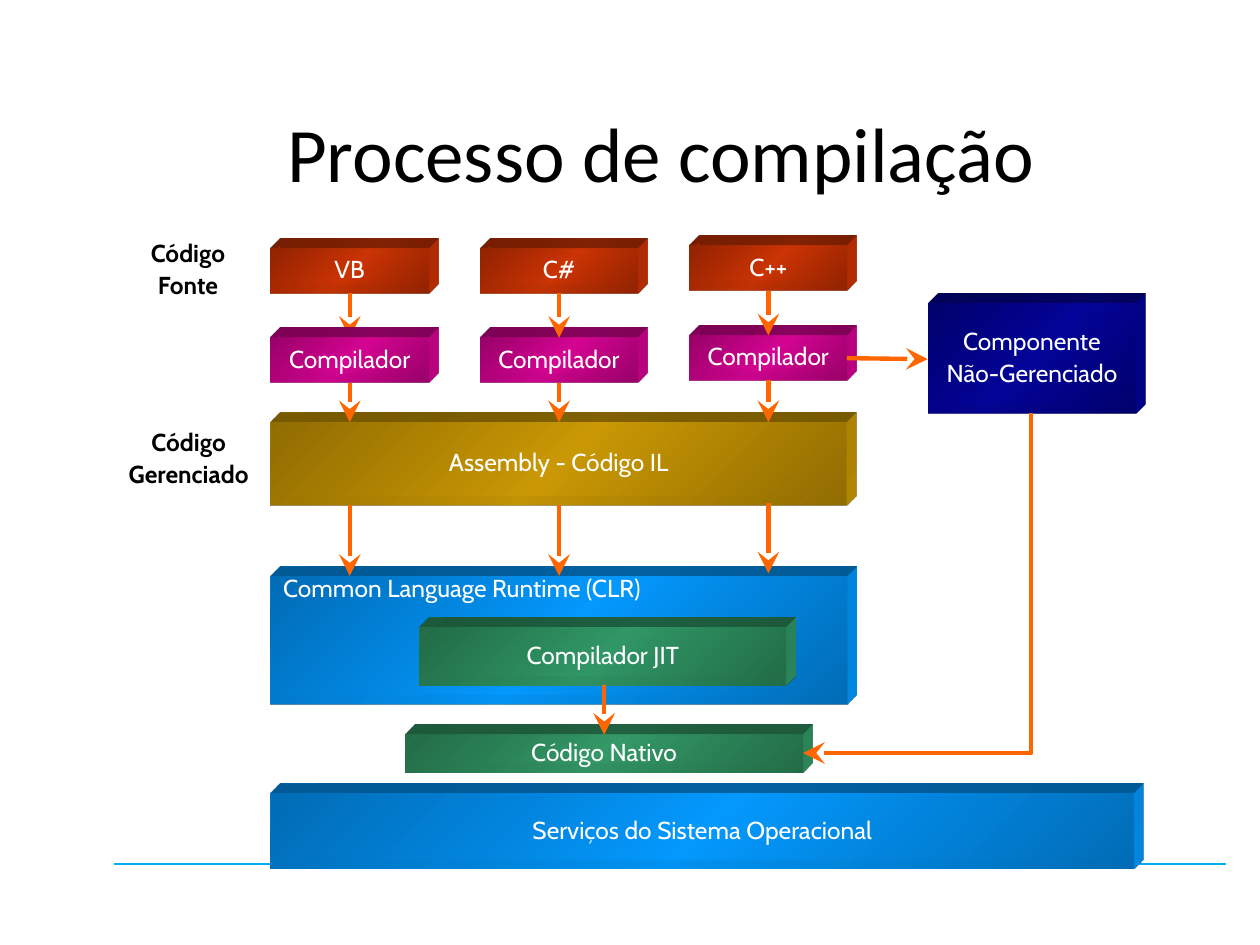
"""Build the "Processo de compilação" slide."""
from copy import deepcopy

from lxml.etree import SubElement
from pptx import Presentation
from pptx.dml.color import RGBColor
from pptx.enum.shapes import MSO_CONNECTOR, MSO_SHAPE
from pptx.enum.text import MSO_ANCHOR, PP_ALIGN
from pptx.oxml.ns import qn
from pptx.util import Cm, Pt

WHITE = RGBColor(0xFF, 0xFF, 0xFF)
BLACK = RGBColor(0x00, 0x00, 0x00)
ORANGE = RGBColor(0xFF, 0x66, 0x00)
CYAN = RGBColor(0x00, 0xAE, 0xEF)
RED = (RGBColor(0x92, 0x24, 0x00), RGBColor(0xCC, 0x33, 0x00))
MAGENTA = (RGBColor(0x99, 0x00, 0x69), RGBColor(0xD6, 0x00, 0x93))
GOLD = (RGBColor(0x92, 0x6D, 0x00), RGBColor(0xCC, 0x99, 0x00))
BLUE = (RGBColor(0x00, 0x6D, 0xB6), RGBColor(0x00, 0x99, 0xFF))
NAVY = (RGBColor(0x00, 0x00, 0x6D), RGBColor(0x00, 0x00, 0x99))
GREEN = (RGBColor(0x24, 0x6D, 0x49), RGBColor(0x33, 0x99, 0x66))

TITLE = "Processo de compilação"
LANGUAGES = [("VB", 0), ("C#", 0), ("C++", 0.05)]
COMPILER = "Compilador"
STAGES = [
    ("Código Nativo", GREEN, (8.18, 14.81, 8.0, 0.76)),
    ("Common Language Runtime (CLR)", BLUE, (5.46, 11.61, 11.61, 2.59)),
    ("Componente\nNão-Gerenciado", NAVY, (18.72, 6.12, 4.17, 2.21)),
    ("Assembly - Código IL", GOLD, (5.46, 8.51, 11.61, 1.68)),
    ("Compilador JIT", GREEN, (8.46, 12.65, 7.39, 1.17)),
    ("Serviços do Sistema Operacional", BLUE, (5.46, 16.0, 17.4, 1.52)),
]
LABELS = [
    ("Código\nFonte", (2.67, 4.75, 2.24, 1.45)),
    ("Código\nGerenciado", (2.18, 8.56, 3.25, 1.45)),
]

COLUMN_LEFT, COLUMN_PITCH = 5.46, 4.22
BOX_WIDTH, BOX_HEIGHT = 3.18, 0.91
SOURCE_TOP, COMPILER_TOP = 5.0, 6.81
ASSEMBLY_TOP, ASSEMBLY_BOTTOM, RUNTIME_TOP = 8.51, 10.19, 11.61


def write(shape, text, color, bold=False, align=PP_ALIGN.CENTER):
    frame = shape.text_frame
    frame.word_wrap = True
    frame.text = text
    for index, paragraph in enumerate(frame.paragraphs):
        paragraph.alignment = align
        paragraph.line_spacing = 0.9
        paragraph.space_before = Pt(2.8 if index else 0)
        paragraph.font.name = "Cabin"
        paragraph.font.size = Pt(14)
        paragraph.font.bold = bold
        paragraph.font.color.rgb = color


def shade(shape, edge, middle):
    fill = shape.fill
    fill.gradient()
    fill.gradient_angle = 315
    stops = shape._element.spPr.find(qn("a:gradFill")).find(qn("a:gsLst"))
    stops.insert(1, deepcopy(stops[0]))
    for stop, color, position in zip(fill.gradient_stops, (edge, middle, edge), (0, 0.5, 1)):
        stop.color.rgb = color
        stop.position = position
    SubElement(stops[1][0], qn("a:alpha"), val="90000")


def extrude(shape, color):
    properties = shape._element.spPr
    scene = SubElement(properties, qn("a:scene3d"))
    SubElement(scene, qn("a:camera"), prst="legacyObliqueTopRight")
    SubElement(scene, qn("a:lightRig"), rig="legacyFlat3", dir="b")
    solid = SubElement(properties, qn("a:sp3d"), extrusionH="201600", prstMaterial="legacyMatte")
    extrusion = SubElement(solid, qn("a:extrusionClr"))
    SubElement(extrusion, qn("a:srgbClr"), val=str(color))


def add_block(slide, text, palette, place):
    block = slide.shapes.add_shape(MSO_SHAPE.RECTANGLE, *map(Cm, place))
    block.shadow.inherit = False
    block.line.fill.background()
    shade(block, *palette)
    extrude(block, palette[1])
    frame = block.text_frame
    frame.margin_top = frame.margin_bottom = 0
    is_runtime = "CLR" in text
    frame.vertical_anchor = MSO_ANCHOR.TOP if is_runtime else MSO_ANCHOR.MIDDLE
    write(block, text, WHITE, align=PP_ALIGN.LEFT if is_runtime else PP_ALIGN.CENTER)


def add_line(slide, ends, color, width, kind=MSO_CONNECTOR.STRAIGHT):
    line = slide.shapes.add_connector(kind, *map(Cm, ends))
    line.line.color.rgb = color
    line.line.width = Pt(width)
    SubElement(line._element.spPr, qn("a:effectLst"))
    return line


def add_arrow(slide, ends, kind=MSO_CONNECTOR.STRAIGHT):
    arrow = add_line(slide, ends, ORANGE, 2.5, kind)
    outline = arrow._element.spPr.find(qn("a:ln"))
    SubElement(outline, qn("a:tailEnd"), type="stealth", w="lg", len="lg")
    return arrow


def main():
    deck = Presentation()
    deck.slide_width, deck.slide_height = Cm(25.4), Cm(19.05)
    slide = deck.slides.add_slide(deck.slide_layouts[5])

    title = slide.shapes.title
    title.left, title.top, title.width, title.height = map(Cm, (1.9, 1.47, 22.86, 3.18))
    title.text_frame.text = TITLE
    heading = title.text_frame.paragraphs[0]
    heading.alignment = PP_ALIGN.CENTER
    heading.font.name = "Calibri"
    heading.font.size = Pt(44)
    heading.font.color.rgb = BLACK

    add_line(slide, (2.29, 17.42, 24.71, 17.42), CYAN, 0.75)
    for stage in STAGES:
        add_block(slide, *stage)

    compilers = []
    for column, (language, lift) in enumerate(LANGUAGES):
        left = COLUMN_LEFT + column * COLUMN_PITCH
        source_top, compiler_top = SOURCE_TOP - lift, COMPILER_TOP - lift
        add_block(slide, language, RED, (left, source_top, BOX_WIDTH, BOX_HEIGHT))
        compilers.append((left, compiler_top, BOX_WIDTH, BOX_HEIGHT))
    for compiler in compilers[1:]:
        add_block(slide, COMPILER, MAGENTA, compiler)

    for (left, top, width, height), (_, lift) in zip(compilers, LANGUAGES):
        center = left + width / 2
        for start, end in (
            (SOURCE_TOP - lift + height, top),
            (top + height, ASSEMBLY_TOP),
            (ASSEMBLY_BOTTOM - lift, RUNTIME_TOP - lift),
        ):
            add_arrow(slide, (center, start, center, end))
    add_arrow(slide, (17.07, 7.22, 18.7, 7.24))
    add_arrow(slide, (12.18, 13.8, 12.18, 14.81))

    unmanaged = add_arrow(slide, (15.06, 9.45, 21.92, 14.05), MSO_CONNECTOR.ELBOW)
    geometry = unmanaged._element.spPr
    geometry.find(qn("a:prstGeom")).set("prst", "bentConnector2")
    geometry.find(qn("a:xfrm")).set("rot", "5400000")

    for text, place in LABELS:
        label = slide.shapes.add_textbox(*map(Cm, place))
        write(label, text, BLACK, bold=True)
    add_block(slide, COMPILER, MAGENTA, compilers[0])

    deck.save("out.pptx")


if __name__ == "__main__":
    main()
